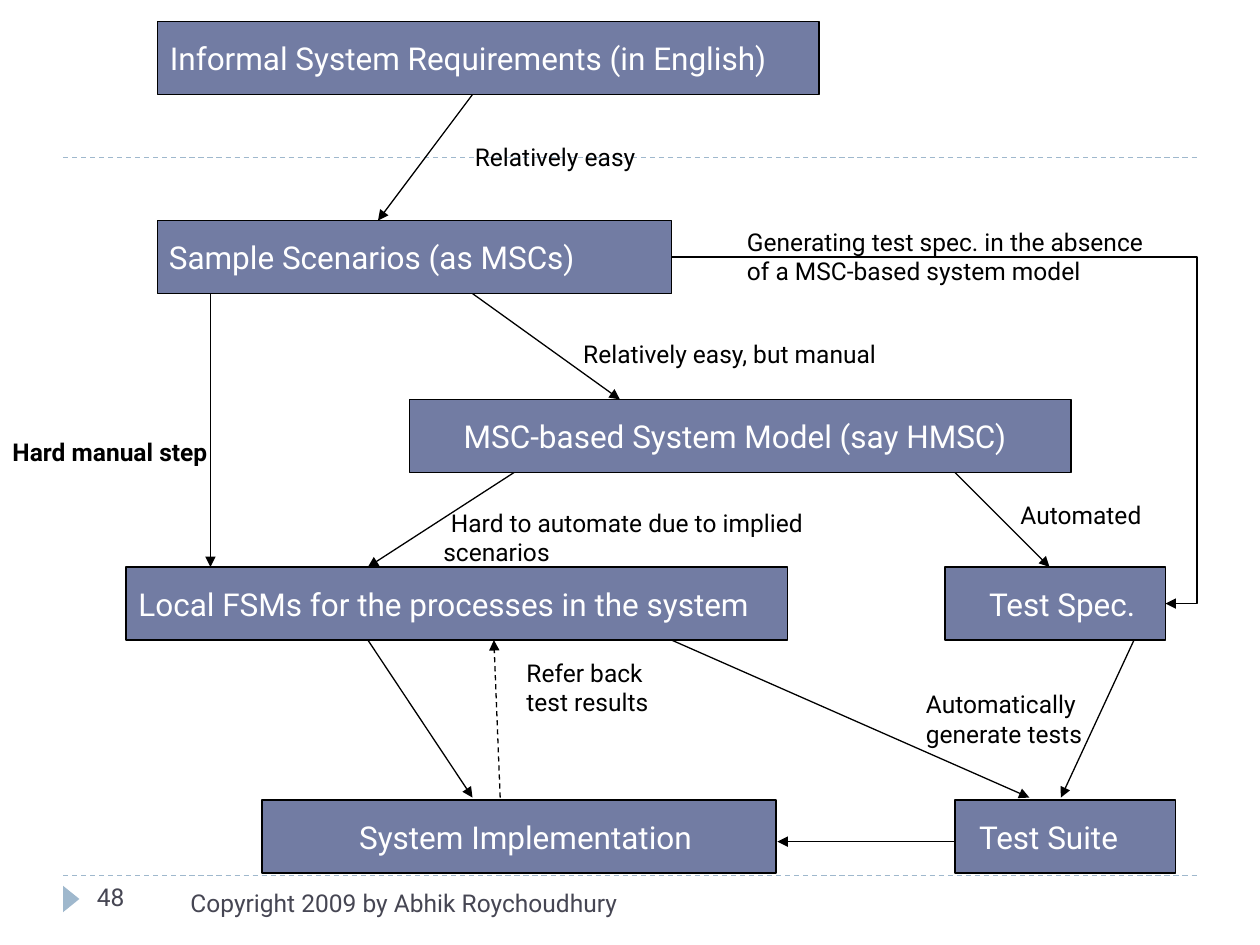
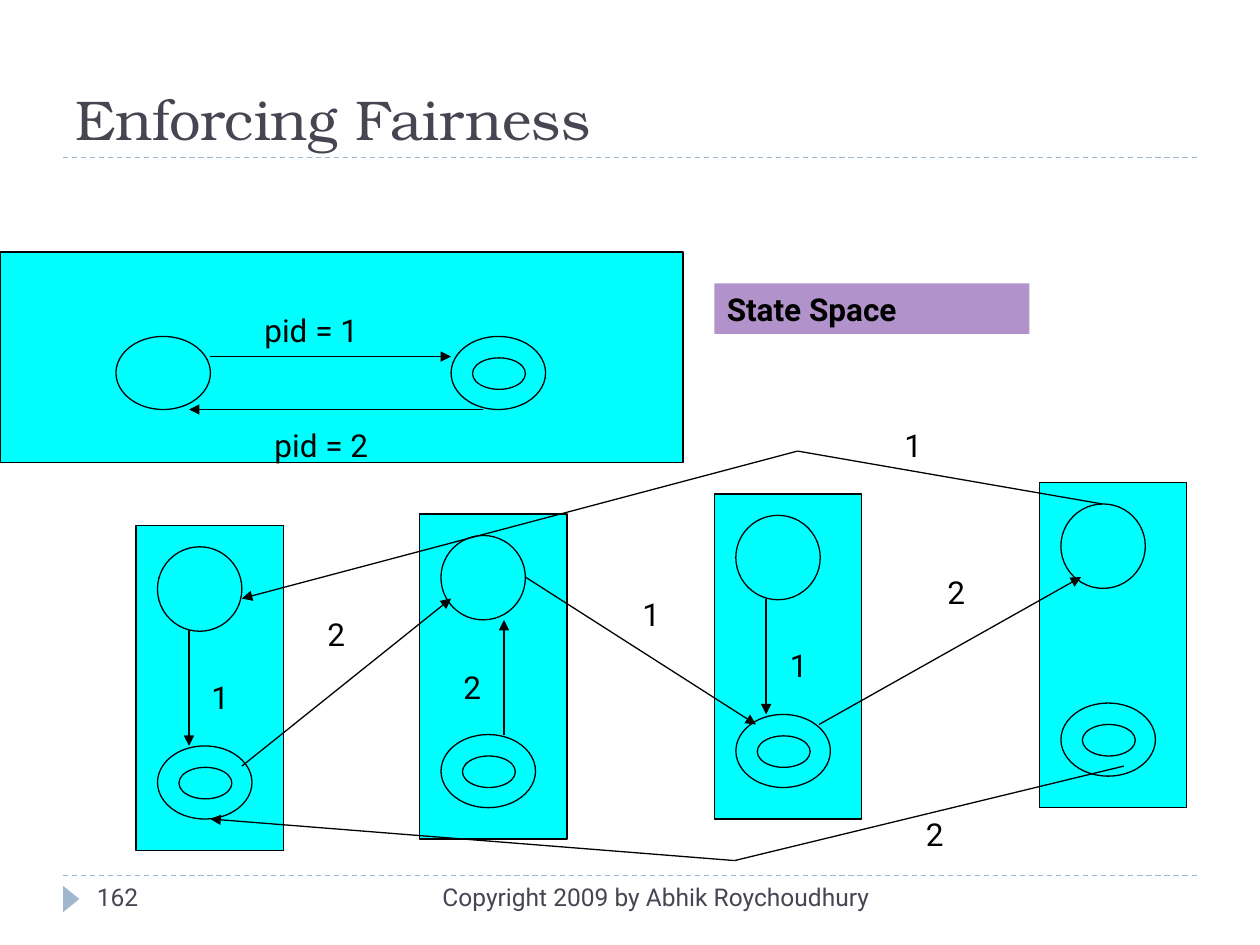
from lxml import etree
from pptx import Presentation
from pptx.dml.color import RGBColor
from pptx.enum import dml, shapes, text
from pptx.oxml import ns
from pptx.util import Inches, Pt

SLATE, CYAN, LILAC, PALE_BLUE = "727CA3", "00FFFF", "B292CA", "9FB8CD"
INK, BLACK, WHITE = "464653", "000000", "FFFFFF"
BODY_FONT, TITLE_FONT = "Roboto", "TeX Gyre Bonum"
RECT, OVAL = shapes.MSO_SHAPE.RECTANGLE, shapes.MSO_SHAPE.OVAL
STRAIGHT, ELBOW = shapes.MSO_CONNECTOR.STRAIGHT, shapes.MSO_CONNECTOR.ELBOW
TOP, MIDDLE, BOTTOM = text.MSO_ANCHOR.TOP, text.MSO_ANCHOR.MIDDLE, text.MSO_ANCHOR.BOTTOM
LEFT, RIGHT = text.PP_ALIGN.LEFT, text.PP_ALIGN.RIGHT
color = RGBColor.from_string


def draw(page, kind, at, words="", fill=None, outline=BLACK, size=18, ink=BLACK,
         bold=False, font=BODY_FONT, align=LEFT, anchor=TOP, inset=0.1):
    frame = [Inches(length) for length in at]
    if kind is None:
        box = page.shapes.add_textbox(*frame)
    else:
        box = page.shapes.add_shape(kind, *frame)
        box.shadow.inherit = False
        if fill:
            box.fill.solid()
            box.fill.fore_color.rgb = color(fill)
        else:
            box.fill.background()
        if outline:
            box.line.color.rgb = color(outline)
            box.line.width = Pt(0.75)
        else:
            box.line.fill.background()
    if words:
        body = box.text_frame
        body.word_wrap = True
        body.vertical_anchor = anchor
        body.margin_left = Inches(inset)
        para = body.paragraphs[0]
        para.text = words
        para.alignment = align
        para.font.size = Pt(size)
        para.font.name = font
        para.font.bold = bold
        para.font.color.rgb = color(ink)
    return box


def connect(page, start, end, kind=STRAIGHT, ink=BLACK, dashed=False, arrow=True):
    link = page.shapes.add_connector(kind, *[Inches(length) for length in start + end])
    link.line.color.rgb = color(ink)
    link.line.width = Pt(0.75)
    if dashed:
        link.line.dash_style = dml.MSO_LINE.DASH
    if arrow:
        etree.SubElement(link.line._get_or_add_ln(), ns.qn("a:tailEnd"), type="triangle")
    etree.SubElement(link._element.spPr, ns.qn("a:effectLst"))
    return link


deck = Presentation()
deck.slide_width, deck.slide_height = Inches(10), Inches(7.5)

pages = []
for number, copyright_at in [("48", (0.67, 7, 4.33, 0.5)), ("162", (3.17, 6.95, 3.83, 0.4))]:
    page = deck.slides.add_slide(deck.slide_layouts[6])
    for y in (6.95, 1.25):
        connect(page, (0.5, y), (9.5, y), ink=PALE_BLUE, dashed=True, arrow=False)
    marker = draw(page, shapes.MSO_SHAPE.ISOSCELES_TRIANGLE, (0.46, 7.07, 0.21, 0.13),
                  fill=PALE_BLUE, outline=None)
    marker.rotation = 90
    draw(page, None, copyright_at, "Copyright 2009 by Abhik Roychoudhury",
         size=14, ink=INK, align=RIGHT)
    draw(page, None, (0.67, 6.95, 2.17, 0.4), number, size=14, ink=INK)
    pages.append(page)
workflow, fairness = pages

stages = [
    (1.25, 0.17, 5.25, 0.1, "Informal System Requirements (in English)"),
    (1.25, 1.75, 4.08, 0.09, "Sample Scenarios (as MSCs)"),
    (3.25, 3.17, 5.25, 0.43, "MSC-based System Model (say HMSC)"),
    (1, 4.5, 5.25, 0.1, "Local FSMs for the processes in the system"),
    (7.5, 4.5, 1.75, 0.35, "Test Spec."),
    (2.08, 6.35, 4.08, 0.77, "System Implementation"),
    (7.58, 6.35, 1.75, 0.19, "Test Suite"),
]
for x, y, width, inset, label in stages:
    draw(workflow, RECT, (x, y, width, 0.58), label, fill=SLATE, ink=WHITE,
         anchor=MIDDLE, inset=inset)

steps = [
    ((3.75, 0.75), (3, 1.75)),
    ((1.67, 2.33), (1.67, 4.5)),
    ((3.75, 2.33), (4.92, 3.17)),
    ((4.08, 3.75), (2.92, 4.5)),
    ((7.58, 3.75), (8.33, 4.5)),
    ((2.92, 5.08), (3.75, 6.33)),
    ((5.33, 5.08), (8.17, 6.33)),
    ((9, 5.08), (8.42, 6.33)),
    ((7.58, 6.68), (6.17, 6.68)),
]
for start, end in steps:
    connect(workflow, start, end)
connect(workflow, (3.97, 6.33), (3.92, 5.08), dashed=True)

bypass = connect(workflow, (5.33, 2.04), (9.25, 4.79), kind=ELBOW)
geometry = bypass._element.spPr.find(ns.qn("a:prstGeom"))
guides = geometry.find(ns.qn("a:avLst"))
if guides is None:
    guides = etree.SubElement(geometry, ns.qn("a:avLst"))
etree.SubElement(guides, ns.qn("a:gd"), name="adj1", fmla="val 106400")

step_notes = [
    (3.67, 1.08, 2.08, "Relatively easy"),
    (4.53, 2.64, 2.69, "Relatively easy, but manual"),
    (8, 3.92, 1.25, "Automated"),
    (7.25, 5.42, 1.75, "Automatically generate tests"),
    (5.83, 1.75, 3.42, "Generating test spec. in the absence of a MSC-based system model"),
    (4.08, 5.17, 1.25, "Refer back test results"),
]
for x, y, width, note in step_notes:
    draw(workflow, None, (x, y, width, 0.34), note, size=14)
draw(workflow, None, (0, 3.42, 3.08, 0.34), "Hard manual step", size=14, bold=True)
implied = draw(workflow, None, (3.42, 3.98, 3.92, 0.57),
               "Hard to automate due to implied scenarios", size=14)
implied.text_frame.paragraphs[0]._p.get_or_add_pPr().set("indent", str(Inches(0.06)))

draw(fairness, None, (0.5, 0.17, 9, 1.08), "Enforcing Fairness", size=32, ink=INK,
     font=TITLE_FONT, anchor=BOTTOM)
draw(fairness, RECT, (0, 2, 5.42, 1.67), fill=CYAN)
draw(fairness, RECT, (5.67, 2.25, 2.5, 0.4), "State Space", fill=LILAC, outline=None, bold=True)

copies = [(1.08, 4.17), (3.33, 4.08), (5.67, 3.92), (8.25, 3.83)]
for x, y in copies:
    draw(fairness, RECT, (x, y, 1.17, 2.58), fill=CYAN)
    draw(fairness, OVAL, (x + 0.17, y + 0.17, 0.67, 0.67))

draw(fairness, OVAL, (0.92, 2.67, 0.75, 0.58))
accepting_states = [(3.58, 2.67)] + [(x + 0.17, y + 1.75) for x, y in copies]
for x, y in accepting_states:
    draw(fairness, OVAL, (x, y, 0.75, 0.58))
    draw(fairness, OVAL, (x + 0.17, y + 0.17, 0.42, 0.25))

transitions = [
    [(1.67, 2.83), (3.58, 2.83)],
    [(3.83, 3.25), (1.5, 3.25)],
    [(1.5, 5), (1.5, 5.92)],
    [(6.08, 4.75), (6.08, 5.67)],
    [(1.92, 6.08), (3.58, 4.75)],
    [(4, 5.83), (4, 4.92)],
    [(4.17, 4.58), (6, 5.75)],
    [(6.5, 5.75), (8.58, 4.58)],
    [(8.92, 6.08), (5.83, 6.83), (1.67, 6.5)],
    [(8.75, 4), (6.33, 3.58), (1.92, 4.75)],
]
for route in transitions:
    for start, end in zip(route, route[1:]):
        connect(fairness, start, end, arrow=end == route[-1])

transition_labels = [
    (2, 2.42, "pid = 1"), (2.08, 3.33, "pid = 2"),
    (1.58, 5.33, "1"), (6.17, 5.08, "1"), (2.5, 4.83, "2"), (3.58, 5.25, "2"),
    (5, 4.67, "1"), (7.42, 4.5, "2"), (7.25, 6.42, "2"), (7.08, 3.33, "1"),
]
for x, y, label in transition_labels:
    draw(fairness, None, (x, y, 1.25 if "pid" in label else 0.5, 0.4), label)

deck.save("out.pptx")
